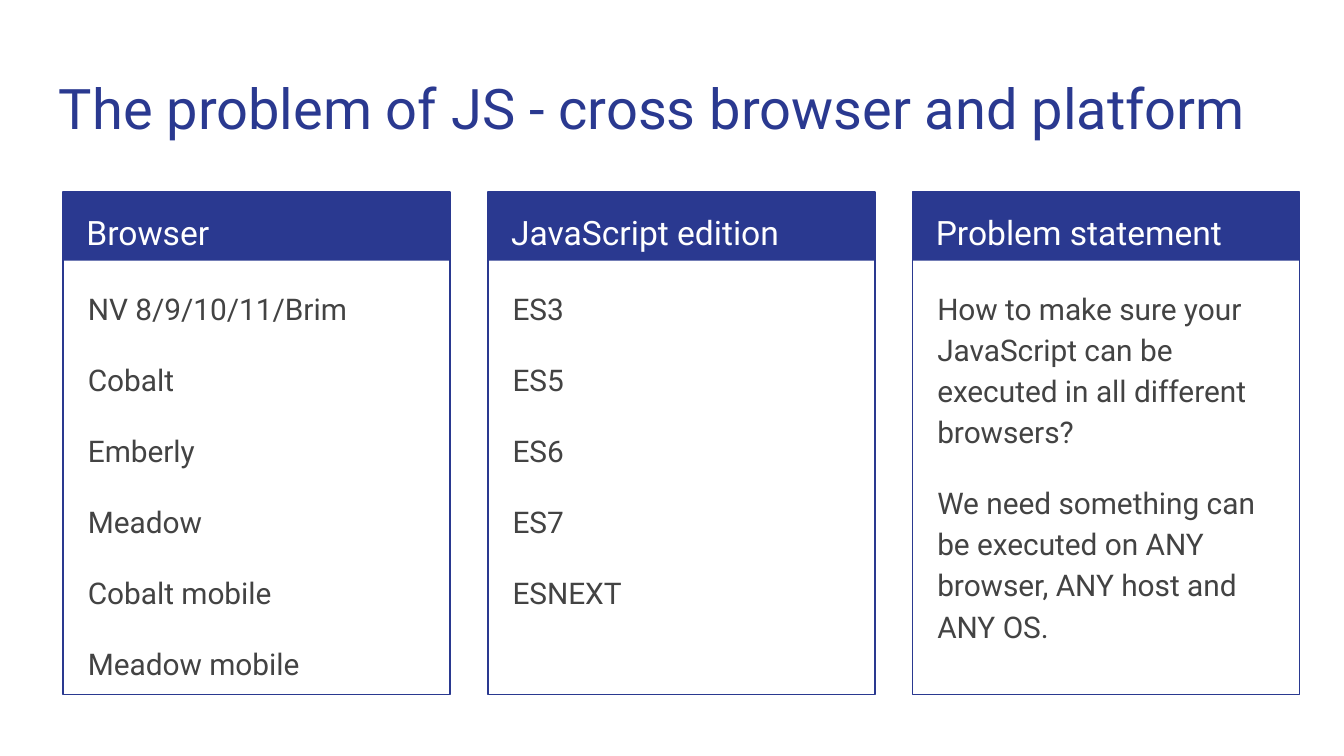
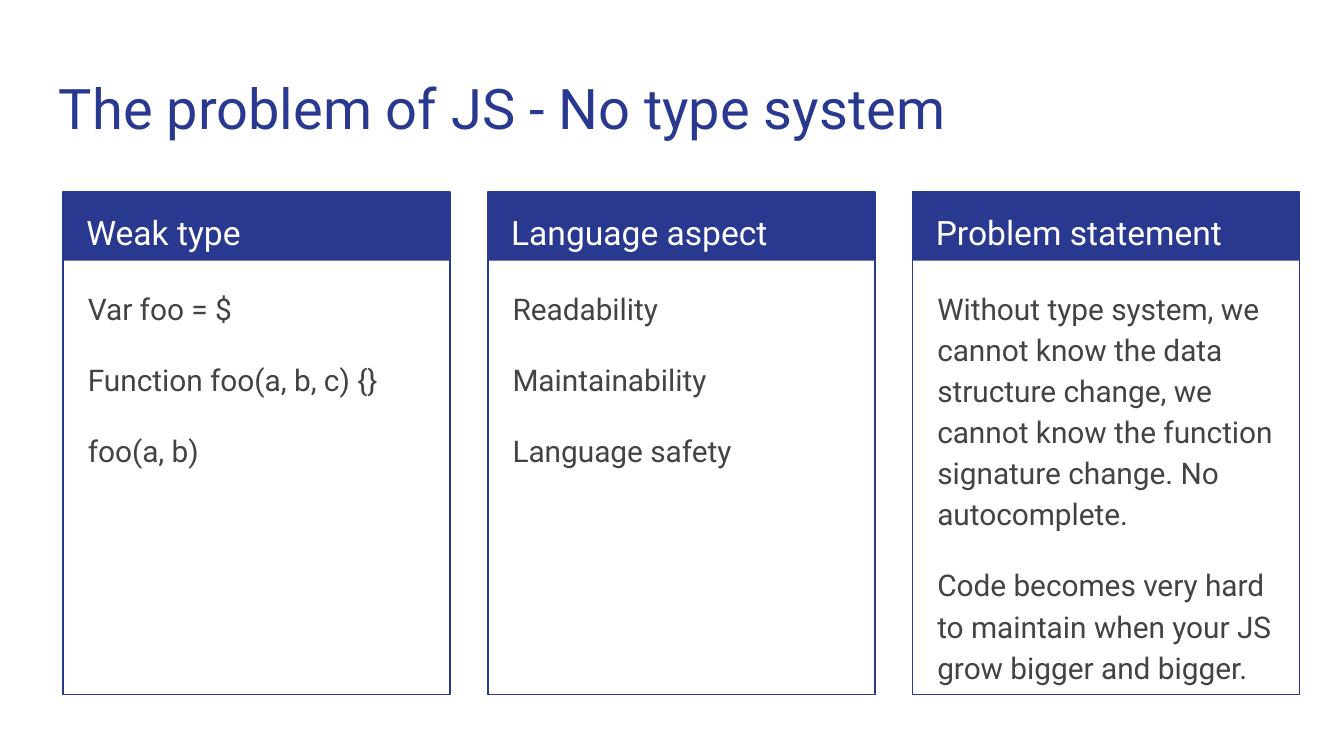
"""Build two slides on the problems of JS, each with a title and three headed panels."""
from dataclasses import dataclass
from typing import Any, NamedTuple

from pptx import Presentation
from pptx import util as u
from pptx.dml.color import RGBColor
from pptx.enum import shapes, text

PX = 4572
INDIGO = RGBColor(0x2A, 0x39, 0x90)
WHITE = RGBColor(0xFF, 0xFF, 0xFF)
CHARCOAL = RGBColor(0x43, 0x43, 0x43)
FONT = "Roboto"


class Box(NamedTuple):
    left: int
    top: int
    width: int
    height: int

    def shifted(self, dx: int) -> "Box":
        return self._replace(left=self.left + dx)

    def emu(self) -> list[int]:
        return [length * PX for length in self]


@dataclass(frozen=True)
class TextStyle:
    size: int
    color: RGBColor
    line_spacing: float
    gap: int = 0


@dataclass(frozen=True)
class Panel:
    heading: str
    entries: tuple[str, ...]


@dataclass(frozen=True)
class Page:
    title: str
    panels: tuple[Panel, ...]


SLIDE_WIDTH, SLIDE_HEIGHT = 2000, 1125
PANEL_PITCH = 632
TITLE_BOX = Box(68, 90, 1864, 132)
BAND_BOX = Box(94, 286, 576, 102)
FRAME_BOX = Box(94, 286, 576, 748)
HEADING_BOX = Box(109, 286, 546, 100)
ENTRIES_BOX = Box(111, 404, 542, 612)

TITLE_STYLE = TextStyle(30, INDIGO, 1.0)
HEADING_STYLE = TextStyle(18, WHITE, 1.15)
ENTRY_STYLE = TextStyle(16, CHARCOAL, 1.15, gap=16)

FRAME_FORMAT = {
    "word_wrap": True,
    "auto_size": text.MSO_AUTO_SIZE.NONE,
    "vertical_anchor": text.MSO_ANCHOR.TOP,
    **{f"margin_{side}": u.Inches(0.1) for side in ("left", "top", "right", "bottom")},
}

PAGES = (
    Page("The problem of JS - cross browser and platform", (
        Panel("Browser", (
            "NV 8/9/10/11/Brim", "Cobalt", "Emberly", "Meadow",
            "Cobalt mobile", "Meadow mobile")),
        Panel("JavaScript edition", ("ES3", "ES5", "ES6", "ES7", "ESNEXT")),
        Panel("Problem statement", (
            "How to make sure your JavaScript can be executed in all different browsers?",
            "We need something can be executed on ANY browser, ANY host and ANY OS.")),
    )),
    Page("The problem of JS - No type system", (
        Panel("Weak type", ("Var foo = $", "Function foo(a, b, c) {}", "foo(a, b)")),
        Panel("Language aspect", ("Readability", "Maintainability", "Language safety")),
        Panel("Problem statement", (
            "Without type system, we cannot know the data structure change, "
            "we cannot know the function signature change. No autocomplete.",
            "Code becomes very hard to maintain when your JS grow bigger and bigger.")),
    )),
)


def apply_format(target: Any, values: dict[str, Any]) -> None:
    """Set every named attribute on the target."""
    for name, value in values.items():
        setattr(target, name, value)


def add_text(slide: Any, box: Box, lines: tuple[str, ...], style: TextStyle) -> None:
    """Write the lines as paragraphs of one text box."""
    frame = slide.shapes.add_textbox(*box.emu()).text_frame
    apply_format(frame, FRAME_FORMAT)
    for index, line in enumerate(lines):
        paragraph = frame.add_paragraph() if index else frame.paragraphs[0]
        last = index == len(lines) - 1
        apply_format(paragraph, {
            "alignment": text.PP_ALIGN.LEFT,
            "line_spacing": style.line_spacing,
            "space_before": u.Pt(style.gap if index else 0),
            "space_after": u.Pt(style.gap if last else 0),
        })
        run = paragraph.add_run()
        run.text = line
        apply_format(run.font, {"name": FONT, "size": u.Pt(style.size)})
        run.font.color.rgb = style.color


def add_rectangle(group: Any, box: Box) -> Any:
    """Add a rectangle without shadow to the group."""
    rectangle = group.shapes.add_shape(shapes.MSO_SHAPE.RECTANGLE, *box.emu())
    rectangle.shadow.inherit = False
    return rectangle


def add_panel(slide: Any, panel: Panel, dx: int) -> None:
    """Draw a framed panel with its heading band and entries."""
    card = slide.shapes.add_group_shape()
    band = add_rectangle(card, BAND_BOX.shifted(dx))
    band.fill.solid()
    band.fill.fore_color.rgb = INDIGO
    band.line.fill.background()
    border = add_rectangle(card, FRAME_BOX.shifted(dx))
    border.fill.background()
    border.line.color.rgb = INDIGO
    border.line.width = u.Pt(0.75)
    add_text(slide, HEADING_BOX.shifted(dx), (panel.heading,), HEADING_STYLE)
    add_text(slide, ENTRIES_BOX.shifted(dx), panel.entries, ENTRY_STYLE)


def main() -> None:
    """Build and save the presentation."""
    deck = Presentation()
    apply_format(deck, {"slide_width": SLIDE_WIDTH * PX, "slide_height": SLIDE_HEIGHT * PX})
    for page in PAGES:
        slide = deck.slides.add_slide(deck.slide_layouts[6])
        add_text(slide, TITLE_BOX, (page.title,), TITLE_STYLE)
        for column, panel in enumerate(page.panels):
            add_panel(slide, panel, column * PANEL_PITCH)
    deck.save("out.pptx")


if __name__ == "__main__":
    main()
